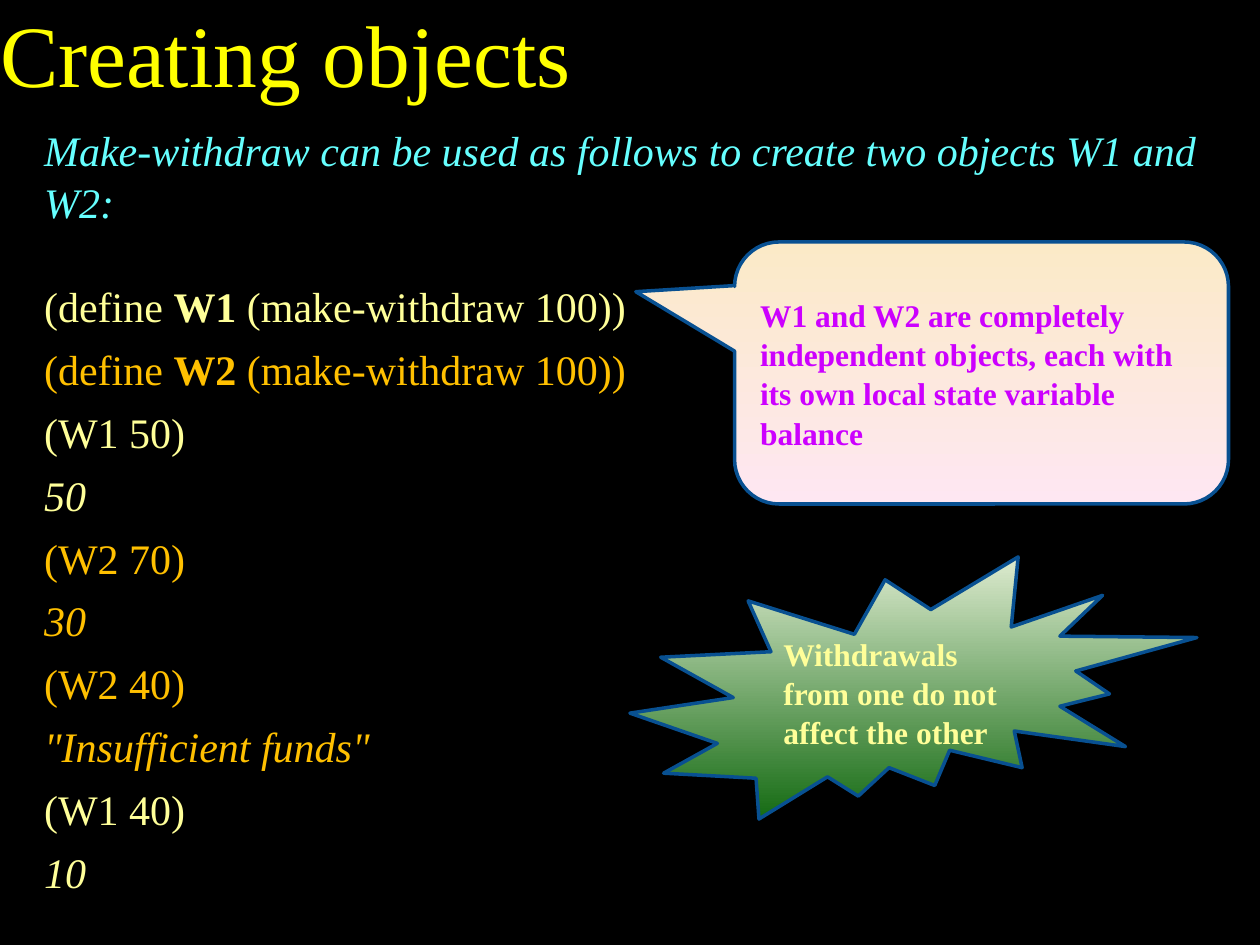
"""Build the slide on creating two withdrawal objects."""
from lxml import etree
from pptx import Presentation
from pptx.dml.color import RGBColor
from pptx.enum import shapes, text
from pptx.oxml import ns
from pptx import util as u

HUE = {"back": "000000", "title": "FFFF00", "lead": "66FFFF", "one": "FFFF99",
       "two": "FFC000", "note": "CC00FF", "edge": "085091",
       "cream": "FBEAC7", "pink": "FEE7F2", "pale": "DDEBCF", "green": "156B13"}


def write(par, words, hue, size=24, bold=False, slant=False):
    run = par.add_run()
    run.text = words
    font = run.font
    font.name, font.size = "Times New Roman", u.Pt(size)
    font.bold, font.italic = bold, slant
    font.color.rgb = RGBColor.from_string(HUE[hue])


deck = Presentation()
deck.slide_width, deck.slide_height = u.Inches(10), u.Inches(7.5)
slide = deck.slides.add_slide(deck.slide_layouts[1])
slide.background.fill.solid()
slide.background.fill.fore_color.rgb = RGBColor.from_string(HUE["back"])

title, body = slide.placeholders
for box, place in ((title, (0, 0, 9, 0.83)), (body, (0.25, 0.92, 9.67, 6.42))):
    box.left, box.top, box.width, box.height = map(u.Inches, place)
    box.text_frame.auto_size = text.MSO_AUTO_SIZE.NONE

frame = title.text_frame
frame.vertical_anchor = text.MSO_ANCHOR.BOTTOM
frame.margin_left = frame.margin_right = frame.margin_bottom = 0
head = frame.paragraphs[0]
head.alignment = text.PP_ALIGN.LEFT
write(head, "Creating objects", "title", size=50)

LINES = [
    ("lead", True, ["Make-withdraw can be used as follows to create two objects W1 and W2:"]),
    ("one", False, ["(define ", "W1", " (make-withdraw 100))"]),
    ("two", False, ["(define ", "W2", " (make-withdraw 100))"]),
    ("one", False, ["(W1 50)"]),
    ("one", True, ["50"]),
    ("two", False, ["(W2 70)"]),
    ("two", True, ["30"]),
    ("two", False, ["(W2 40)"]),
    ("two", True, ['"Insufficient funds"']),
    ("one", False, ["(W1 40)"]),
    ("one", True, ["10"]),
]
GAPS = {0: 0, 1: 29.4}
frame = body.text_frame
for row, (hue, slant, parts) in enumerate(LINES):
    par = frame.add_paragraph() if row else frame.paragraphs[0]
    props = par._p.get_or_add_pPr()
    props.set("marL", "0")
    props.set("indent", "0")
    etree.SubElement(props, ns.qn("a:buNone"))
    par.space_before = u.Pt(GAPS.get(row, 6))
    par.line_spacing = 1.04
    for part in parts:
        write(par, part, hue, bold=part in ("W1", "W2"), slant=slant)

KIND = shapes.MSO_SHAPE
NOTES = [
    (KIND.ROUNDED_RECTANGULAR_CALLOUT, (5.83, 1.92, 3.92, 2.08), (-0.7, -0.31, 0.17),
     ("cream", "pink"), "note",
     "W1 and W2 are completely independent objects, each with its own local state variable balance"),
    (KIND.EXPLOSION2, (5, 4.42, 4.5, 2.08), (), ("pale", "green"), "one",
     "Withdrawals from one do not affect the other"),
]
for kind, place, bends, blend, hue, words in NOTES:
    note = slide.shapes.add_shape(kind, *map(u.Inches, place))
    note.shadow.inherit = False
    for spot, bend in enumerate(bends):
        note.adjustments[spot] = bend
    note.fill.gradient()
    note.fill.gradient_angle = 270
    for spot, (stop, tint) in enumerate(zip(note.fill.gradient_stops, blend)):
        stop.position = spot
        stop.color.rgb = RGBColor.from_string(HUE[tint])
    note.line.color.rgb = RGBColor.from_string(HUE["edge"])
    note.line.width = u.Pt(2)
    frame = note.text_frame
    frame.word_wrap = True
    frame.vertical_anchor = text.MSO_ANCHOR.MIDDLE
    par = frame.paragraphs[0]
    par.alignment = text.PP_ALIGN.LEFT
    par.line_spacing = 1.04
    write(par, words, hue, size=18, bold=True)

deck.save("out.pptx")
